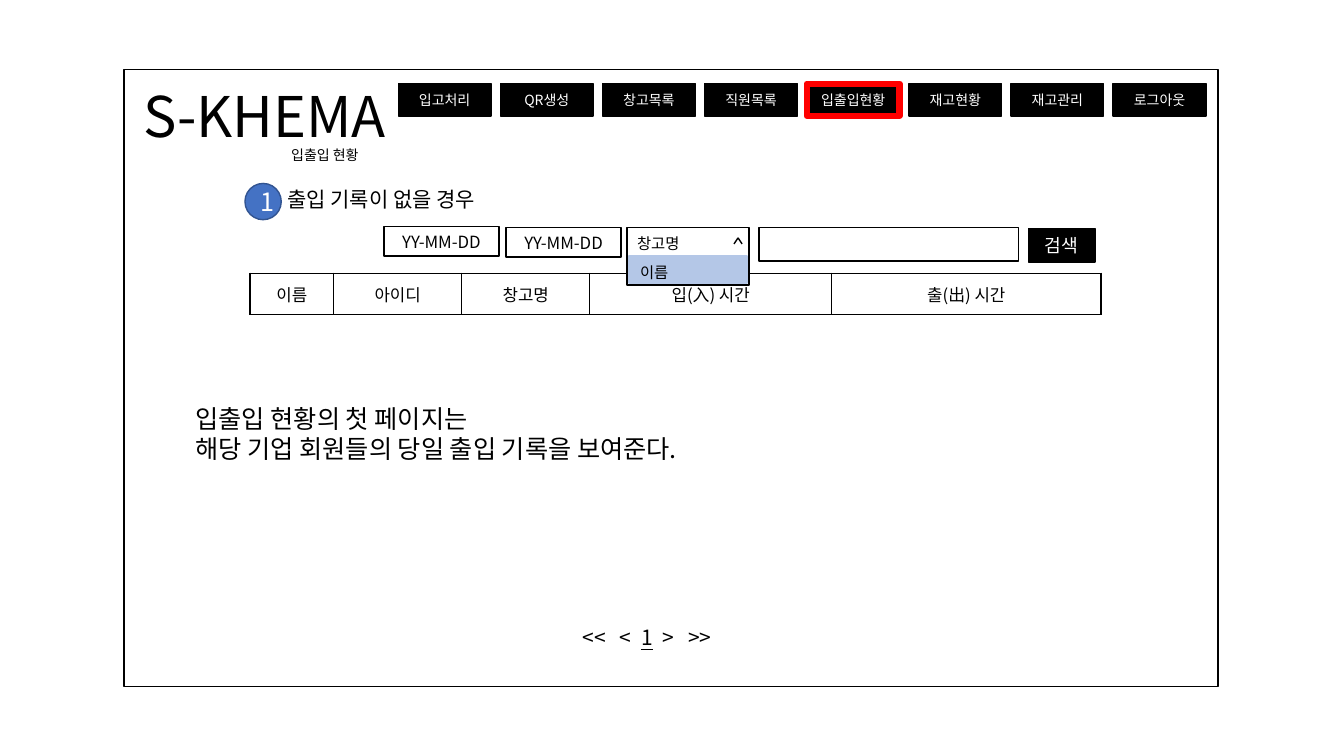
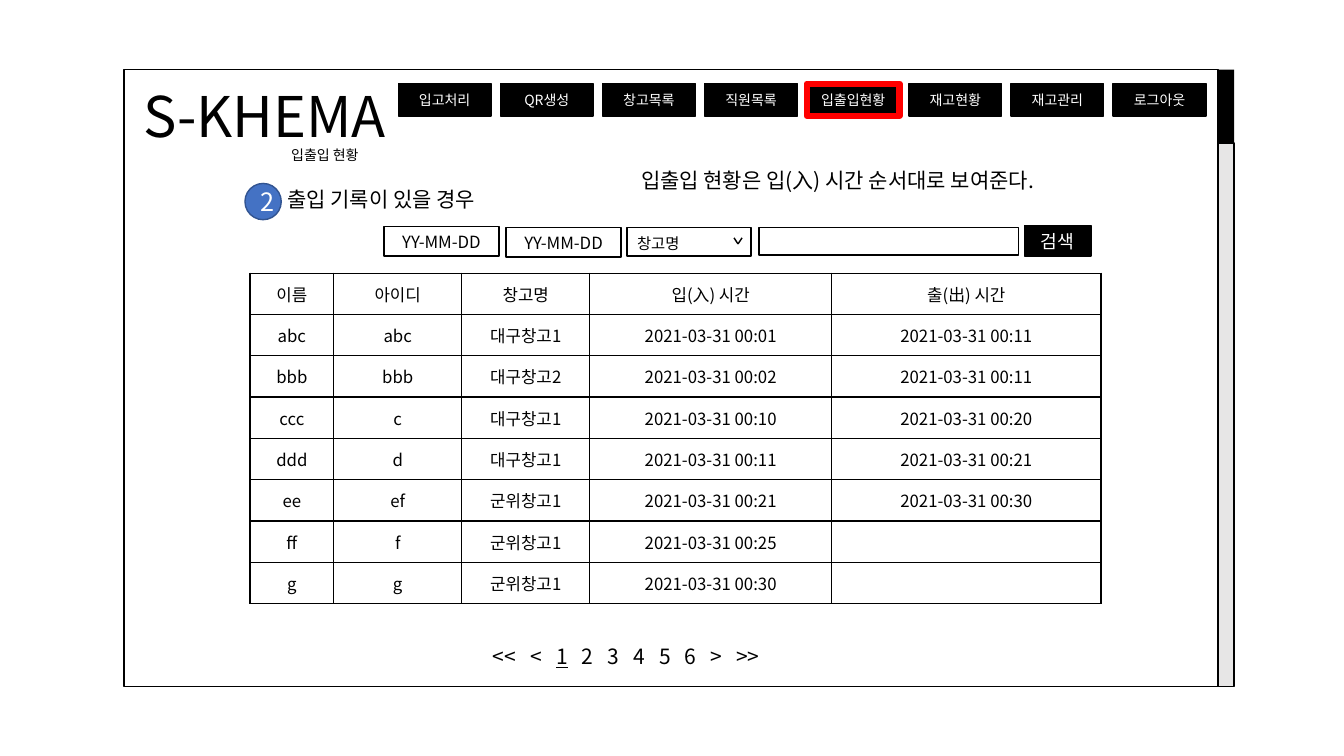
from dataclasses import dataclass
from typing import NamedTuple

from lxml.etree import SubElement
from pptx import Presentation
from pptx.dml.color import RGBColor
from pptx.enum.shapes import MSO_CONNECTOR, MSO_SHAPE
from pptx.enum.text import MSO_ANCHOR, PP_ALIGN
from pptx.oxml.ns import qn
from pptx.util import Inches, Pt

BLACK = RGBColor(0x00, 0x00, 0x00)
WHITE = RGBColor(0xFF, 0xFF, 0xFF)
RED = RGBColor(0xFF, 0x00, 0x00)
BADGE_BLUE = RGBColor(0x44, 0x72, 0xC4)
BADGE_EDGE = RGBColor(0x32, 0x54, 0x91)
OPTION_BLUE = RGBColor(0xB4, 0xC7, 0xE7)
TRACK_GRAY = RGBColor(0xE7, 0xE6, 0xE6)
FONT = "Noto Sans CJK KR"

APP_NAME = "S-KHEMA"
MENU = ("입고처리", "QR생성", "창고목록", "직원목록", "입출입현황", "재고현황", "재고관리", "로그아웃")
ACTIVE_MENU = "입출입현황"
MENU_LEFT, MENU_LAST_LEFT = 3.95, 11.04
MENU_PITCH = (MENU_LAST_LEFT - MENU_LEFT) / (len(MENU) - 1)

COLUMN_WIDTHS = (0.83, 1.27, 1.27, 2.4, 2.67)
ROW_HEIGHT = 0.41
HEADINGS = ("이름", "아이디", "창고명", "입(入) 시간", "출(出) 시간")
RECORDS = (
    ("abc", "abc", "대구창고1", "2021-03-31 00:01", "2021-03-31 00:11"),
    ("bbb", "bbb", "대구창고2", "2021-03-31 00:02", "2021-03-31 00:11"),
    ("ccc", "c", "대구창고1", "2021-03-31 00:10", "2021-03-31 00:20"),
    ("ddd", "d", "대구창고1", "2021-03-31 00:11", "2021-03-31 00:21"),
    ("ee", "ef", "군위창고1", "2021-03-31 00:21", "2021-03-31 00:30"),
    ("ff", "f", "군위창고1", "2021-03-31 00:25", ""),
    ("g", "g", "군위창고1", "2021-03-31 00:30", ""),
)
WIDE_GAP, NARROW_GAP = 6.7, 3.4


class Box(NamedTuple):
    left: float
    top: float
    width: float
    height: float

    def lengths(self):
        return tuple(Inches(value) for value in self)


class Note(NamedTuple):
    box: Box
    lines: tuple
    size: float


@dataclass(frozen=True)
class Screen:
    number: str
    heading: str
    records: tuple
    note: Note
    keyword_box: Box
    select_box: Box
    search_box: Box
    select_open: bool
    pager_box: Box
    pages: str
    page_gap: float
    scrollbar: bool


SCREENS = (
    Screen(
        number="1",
        heading="출입 기록이 없을 경우",
        records=(),
        note=Note(Box(1.84, 3.95, 5.95, 0.71),
                  ("입출입 현황의 첫 페이지는", "해당 기업 회원들의 당일 출입 기록을 보여준다."), 18),
        keyword_box=Box(7.53, 2.26, 2.57, 0.33),
        select_box=Box(6.22, 2.26, 1.21, 0.57),
        search_box=Box(10.2, 2.27, 0.66, 0.33),
        select_open=True,
        pager_box=Box(5.68, 6.15, 1.94, 0.35),
        pages="1",
        page_gap=NARROW_GAP,
        scrollbar=False,
    ),
    Screen(
        number="2",
        heading="출입 기록이 있을 경우",
        records=RECORDS,
        note=Note(Box(6.26, 1.61, 5.95, 0.35), ("입출입 현황은 입(入) 시간 순서대로 보여준다.",), 15),
        keyword_box=Box(7.53, 2.26, 2.57, 0.27),
        select_box=Box(6.22, 2.26, 1.23, 0.28),
        search_box=Box(10.16, 2.24, 0.66, 0.3),
        select_open=False,
        pager_box=Box(4.79, 6.33, 3.77, 0.35),
        pages="123456",
        page_gap=WIDE_GAP,
        scrollbar=True,
    ),
)


def add_run(paragraph, text: str, *, size: float, color=BLACK, underline=False, spacing=0.0):
    run = paragraph.add_run()
    run.text = text
    run.font.size = Pt(size)
    run.font.name = FONT
    run.font.color.rgb = color
    run.font.underline = underline
    properties = run._r.get_or_add_rPr()
    SubElement(properties, qn("a:ea"), typeface=FONT)
    if spacing:
        properties.set("spc", str(round(spacing * 100)))


def write_text(frame, *lines: str, size: float, color=BLACK, align=PP_ALIGN.LEFT, anchor=MSO_ANCHOR.TOP):
    frame.word_wrap = True
    frame.vertical_anchor = anchor
    for index, line in enumerate(lines):
        paragraph = frame.add_paragraph() if index else frame.paragraphs[0]
        paragraph.alignment = align
        add_run(paragraph, line, size=size, color=color)


def add_label(slide, box: Box, *lines: str, size: float):
    write_text(slide.shapes.add_textbox(*box.lengths()).text_frame, *lines, size=size)


def add_box(slide, box: Box, text="", *, kind=MSO_SHAPE.RECTANGLE, fill=WHITE, line=BLACK,
            line_width=1.0, size=12.0, color=BLACK):
    shape = slide.shapes.add_shape(kind, *box.lengths())
    shape.shadow.inherit = False
    if fill is None:
        shape.fill.background()
    else:
        shape.fill.solid()
        shape.fill.fore_color.rgb = fill
    if line is None:
        shape.line.fill.background()
    else:
        shape.line.color.rgb = line
        shape.line.width = Pt(line_width)
    if text:
        write_text(shape.text_frame, text, size=size, color=color,
                   align=PP_ALIGN.CENTER, anchor=MSO_ANCHOR.MIDDLE)


def add_chevron(slide, *, upward: bool):
    tip, base = (2.36, 2.42) if upward else (2.42, 2.36)
    for end in (7.28, 7.36):
        connector = slide.shapes.add_connector(
            MSO_CONNECTOR.STRAIGHT, Inches(end), Inches(base), Inches(7.32), Inches(tip))
        connector.line.color.rgb = BLACK
        connector.line.width = Pt(1)
        SubElement(connector._element.spPr, qn("a:effectLst"))


def add_header(slide, screen: Screen):
    add_box(slide, Box(1.23, 0.69, 10.85, 6.12), fill=None)
    add_label(slide, Box(1.32, 0.76, 2.62, 0.77), APP_NAME, size=40)
    add_label(slide, Box(2.79, 1.4, 0.95, 0.27), "입출입 현황", size=10)
    for index, name in enumerate(MENU):
        active = name == ACTIVE_MENU
        add_box(slide, Box(MENU_LEFT + index * MENU_PITCH, 0.83, 0.92, 0.32), name, fill=BLACK,
                line=RED if active else BLACK, line_width=4.5 if active else 1, size=10, color=WHITE)
    title = slide.shapes.title
    title.left, title.top, title.width, title.height = Box(2.75, 1.8, 3, 0.35).lengths()
    write_text(title.text_frame, screen.heading, size=15)
    title.text_frame.paragraphs[0].line_spacing = 1.0
    add_box(slide, Box(2.43, 1.82, 0.36, 0.36), screen.number, kind=MSO_SHAPE.OVAL,
            fill=BADGE_BLUE, line=BADGE_EDGE, size=18, color=WHITE)


def add_cell_borders(cell):
    properties = cell._tc.get_or_add_tcPr()
    for index, side in enumerate(("lnL", "lnR", "lnT", "lnB")):
        border = properties.makeelement(qn(f"a:{side}"), {"w": str(Pt(1))})
        fill = SubElement(border, qn("a:solidFill"))
        SubElement(fill, qn("a:srgbClr"), val=str(BLACK))
        properties.insert(index, border)


def add_records(slide, records: tuple):
    rows = (HEADINGS, *records)
    box = Box(2.48, 2.71, sum(COLUMN_WIDTHS), ROW_HEIGHT * len(rows))
    table = slide.shapes.add_table(len(rows), len(HEADINGS), *box.lengths()).table
    table.first_row = table.horz_banding = False
    for column, width in zip(table.columns, COLUMN_WIDTHS):
        column.width = Inches(width)
    for row, values in zip(table.rows, rows):
        row.height = Inches(ROW_HEIGHT)
        for cell, value in zip(row.cells, values):
            cell.fill.solid()
            cell.fill.fore_color.rgb = WHITE
            cell.margin_top = cell.margin_bottom = 0
            cell.vertical_anchor = MSO_ANCHOR.MIDDLE
            add_cell_borders(cell)
            paragraph = cell.text_frame.paragraphs[0]
            paragraph.alignment = PP_ALIGN.CENTER
            add_run(paragraph, value, size=12)


def add_search_bar(slide, screen: Screen):
    add_box(slide, screen.keyword_box)
    for box in (Box(3.81, 2.25, 1.14, 0.29), Box(5.02, 2.26, 1.14, 0.29)):
        add_box(slide, box, "YY-MM-DD")
    add_box(slide, screen.select_box)
    add_chevron(slide, upward=screen.select_open)
    add_label(slide, Box(6.22, 2.27, 0.9, 0.29), "창고명", size=11)
    if screen.select_open:
        add_box(slide, Box(6.24, 2.54, 1.17, 0.27), fill=OPTION_BLUE, line=OPTION_BLUE)
        add_label(slide, Box(6.25, 2.56, 0.8, 0.29), "이름", size=11)
    add_box(slide, screen.search_box, "검색", fill=BLACK, size=13, color=WHITE)


def add_pager(slide, screen: Screen):
    frame = slide.shapes.add_textbox(*screen.pager_box.lengths()).text_frame
    frame.word_wrap = True
    paragraph = frame.paragraphs[0]
    marks = ("<<", "<", *screen.pages, ">", ">>")
    for index, mark in enumerate(marks):
        if index:
            outer = index in (1, len(marks) - 1)
            add_run(paragraph, " ", size=15, spacing=WIDE_GAP if outer else screen.page_gap)
        add_run(paragraph, mark, size=15, underline=mark == "1")


def add_scrollbar(slide):
    add_box(slide, Box(12.08, 1.42, 0.16, 5.39), fill=TRACK_GRAY)
    add_box(slide, Box(12.08, 0.69, 0.16, 0.73), fill=BLACK, line=None)


def build_screen(presentation, screen: Screen):
    slide = presentation.slides.add_slide(presentation.slide_layouts.get_by_name("Title Only"))
    add_header(slide, screen)
    add_label(slide, screen.note.box, *screen.note.lines, size=screen.note.size)
    add_records(slide, screen.records)
    add_search_bar(slide, screen)
    add_pager(slide, screen)
    if screen.scrollbar:
        add_scrollbar(slide)


def main():
    presentation = Presentation()
    presentation.slide_width = Inches(13.33)
    presentation.slide_height = Inches(7.5)
    for screen in SCREENS:
        build_screen(presentation, screen)
    presentation.save("out.pptx")


if __name__ == "__main__":
    main()
